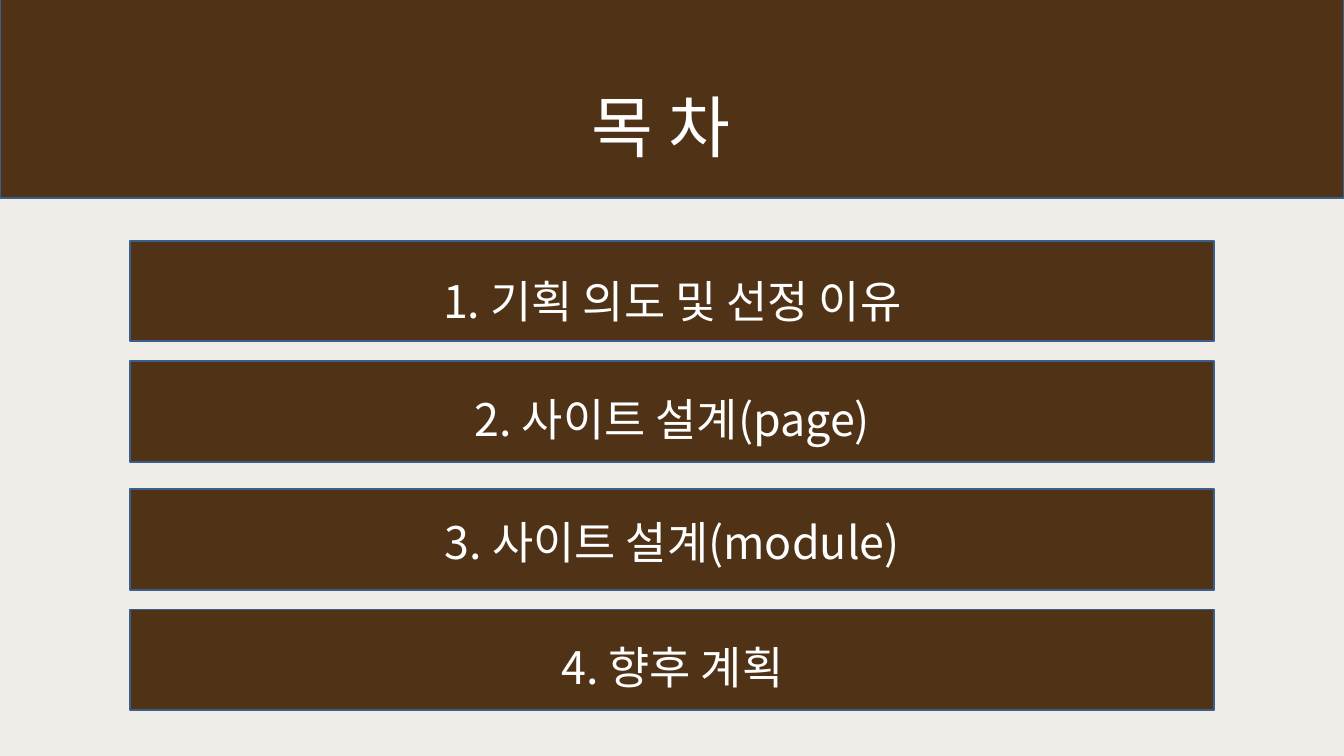
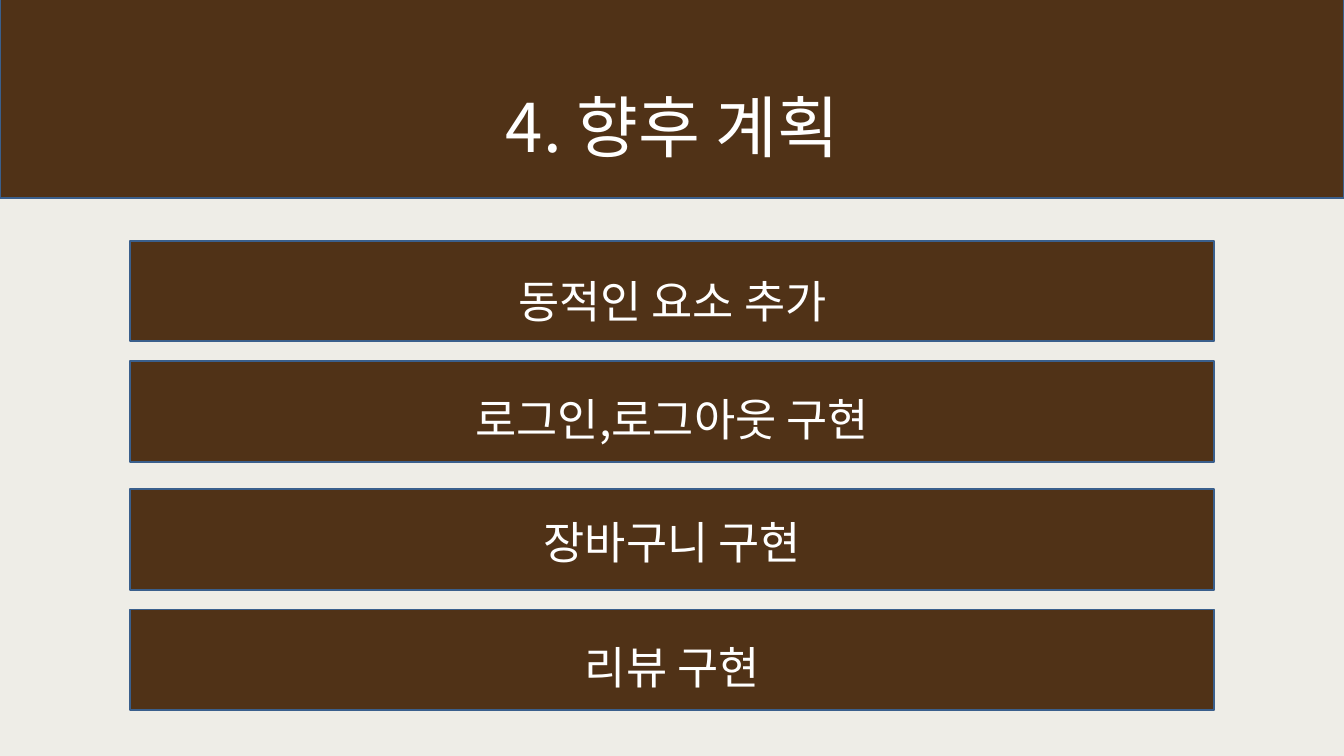
from dataclasses import dataclass

from pptx import Presentation
from pptx.dml.color import RGBColor
from pptx.enum.shapes import MSO_SHAPE as Shape
from pptx.enum.text import MSO_ANCHOR as Anchor, MSO_AUTO_SIZE as AutoSize, PP_ALIGN as Align
from pptx.oxml.ns import qn
from pptx.util import Pt


@dataclass(frozen=True)
class Theme:
    paper: RGBColor = RGBColor(0xEE, 0xED, 0xE7)
    brown: RGBColor = RGBColor(0x50, 0x32, 0x17)
    border: RGBColor = RGBColor(0x3A, 0x5F, 0x8C)
    white: RGBColor = RGBColor(0xFF, 0xFF, 0xFF)
    font: str = "Noto Sans CJK KR"
    title_size: int = 72
    item_size: int = 48
    line_width: int = 2


THEME = Theme()
WIDTH, HEIGHT = 1440, 810
BAND = (0, -2, WIDTH, 214.5)
LIST_BOX = (139.7, 257.8, 1161.4, 503.3)
BAR_HEIGHT = 108
BAR_PITCH = 128.9
PAIR_PITCH = 266.4
LABEL_INSET = 25
LABEL_HEIGHT = 65.5
LABEL_DROPS = (31, 28.7, 23.8, 28.8)


def add_panel(slide, x, y, w, h):
    sp = slide.shapes.add_shape(Shape.RECTANGLE, Pt(x), Pt(y), Pt(w), Pt(h))
    sp.shadow.inherit = False
    sp.fill.solid()
    sp.fill.fore_color.rgb = THEME.brown
    sp.line.color.rgb = THEME.border
    sp.line.width = Pt(THEME.line_width)


def write_text(sp, text, size, align):
    tf = sp.text_frame
    tf.word_wrap = True
    tf.auto_size = AutoSize.NONE
    tf.vertical_anchor = Anchor.MIDDLE
    p = tf.paragraphs[0]
    p.alignment = align
    r = p.add_run()
    r.text = text
    r.font.size = Pt(size)
    r.font.name = THEME.font
    r.font.color.rgb = THEME.white
    ea = r.font._element.makeelement(qn("a:ea"), {"typeface": THEME.font})
    r.font._element.find(qn("a:latin")).addnext(ea)


def add_header(slide, box, title, title_left, title_width, align):
    x, y, w, h = box
    add_panel(slide, x, y, w, h)
    sp = slide.shapes.title
    slide.shapes._spTree.append(sp._element)
    sp.left, sp.top = Pt(x + title_left), Pt(y + 89)
    sp.width, sp.height = Pt(title_width), Pt(94.3)
    write_text(sp, title, THEME.title_size, align)


def add_items(slide, box, items):
    x, y, w, h = box
    for i, (item, drop) in enumerate(zip(items, LABEL_DROPS)):
        pair, row = divmod(i, 2)
        top = y + pair * PAIR_PITCH + row * BAR_PITCH
        add_panel(slide, x, top, w, BAR_HEIGHT)
        sp = slide.shapes.add_textbox(
            Pt(x + LABEL_INSET), Pt(top + drop), Pt(w - 2 * LABEL_INSET), Pt(LABEL_HEIGHT)
        )
        write_text(sp, item, THEME.item_size, Align.CENTER)


def add_list_slide(prs, title, title_left, title_width, align, items):
    slide = prs.slides.add_slide(prs.slide_layouts.get_by_name("Title Only"))
    add_header(slide, BAND, title, title_left, title_width, align)
    add_items(slide, LIST_BOX, items)


def main():
    prs = Presentation()
    prs.slide_width, prs.slide_height = Pt(WIDTH), Pt(HEIGHT)
    fill = prs.slide_master.background.fill
    fill.solid()
    fill.fore_color.rgb = THEME.paper
    add_list_slide(
        prs, "목 차", 626.4, 187.2, Align.LEFT,
        ["1. 기획 의도 및 선정 이유", "2. 사이트 설계(page)", "3. 사이트 설계(module)", "4. 향후 계획"],
    )
    add_list_slide(
        prs, "4. 향후 계획", 444.2, 553, Align.CENTER,
        ["동적인 요소 추가", "로그인,로그아웃 구현", "장바구니 구현", "리뷰 구현"],
    )
    prs.save("out.pptx")


if __name__ == "__main__":
    main()
